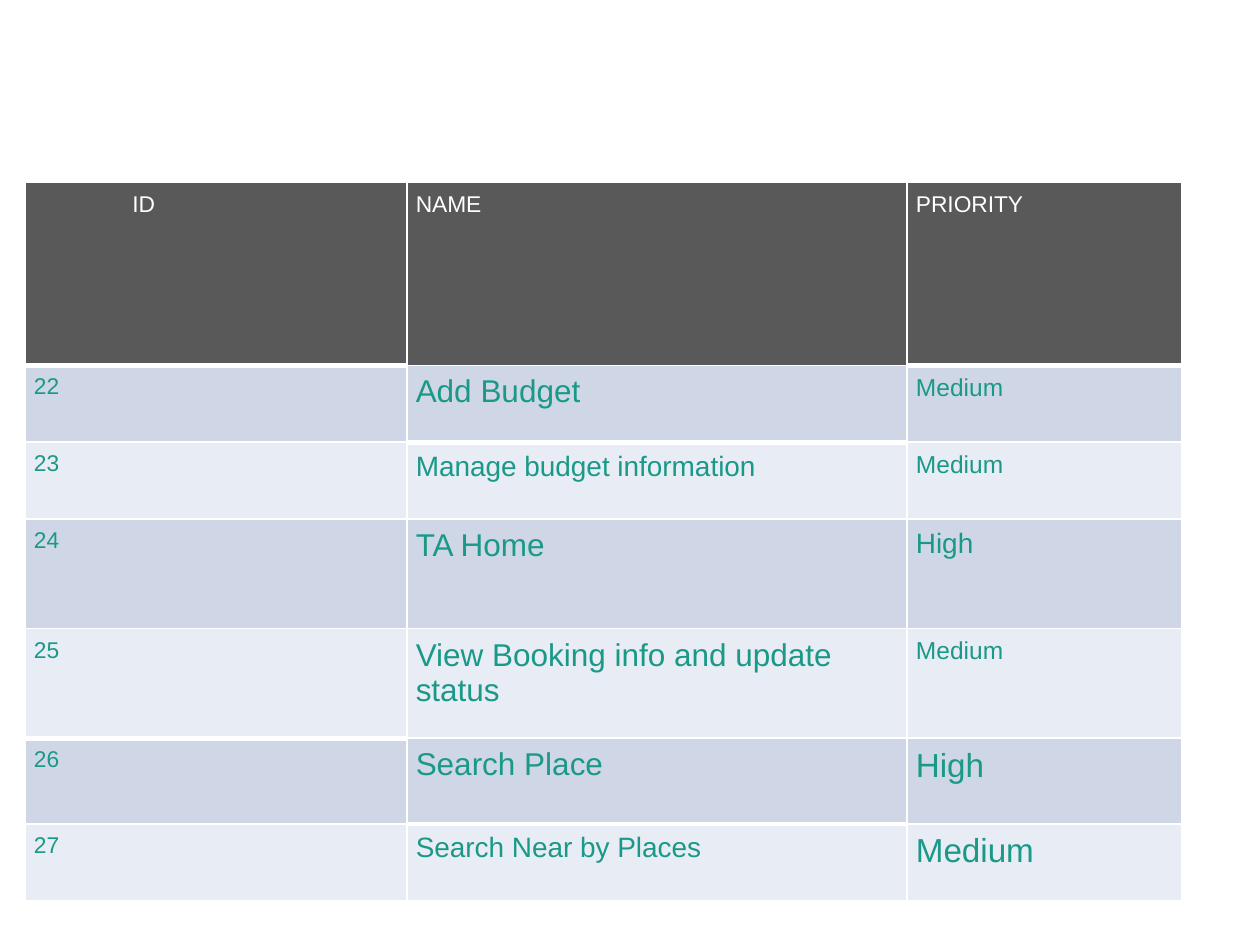
from dataclasses import dataclass

from lxml import etree
from pptx import Presentation
from pptx.dml.color import RGBColor
from pptx.enum import text
from pptx.oxml import ns
from pptx.util import Inches, Pt


@dataclass(frozen=True)
class Theme:
    font: str = "Arial"
    header_fill: str = "595959"
    header_text: str = "FFFFFF"
    body_text: str = "1A9988"
    bands: tuple = ("CFD7E7", "E8ECF4")
    border: str = "FFFFFF"
    thin: float = 1
    thick: float = 3
    small: float = 13
    margin: float = 0.07


@dataclass(frozen=True)
class Feature:
    id: str
    name: str
    priority: str
    name_size: float
    priority_size: float
    height: float


THEME = Theme()
HEADINGS = ("ID", "NAME", "PRIORITY")
HEADER_HEIGHT = 1.45
COLUMN_WIDTHS = (3.03, 3.97, 2.18)
ID_RIGHT_MARGIN = 1.22
FEATURES = [
    Feature("22", "Add Budget", "Medium", 18, 14, 0.61),
    Feature("23", "Manage budget information", "Medium", 16, 14, 0.61),
    Feature("24", "TA Home", "High", 18, 16, 0.87),
    Feature("25", "View Booking info and update status", "Medium", 18, 14, 0.87),
    Feature("26", "Search Place", "High", 18, 19, 0.68),
    Feature("27", "Search Near by Places", "Medium", 16, 19, 0.61),
]
# (row, column) of the cells with a thick rule below them
THICK_BELOW = {(0, 0), (0, 2), (1, 1), (4, 0), (5, 1)}


def set_borders(cell, row: int, col: int) -> None:
    """Draw all four cell borders, thick where THICK_BELOW asks for it."""
    thick_sides = {"T": (row - 1, col) in THICK_BELOW, "B": (row, col) in THICK_BELOW}
    tc_pr = cell._tc.get_or_add_tcPr()
    for i, side in enumerate("LRTB"):
        width = THEME.thick if thick_sides.get(side) else THEME.thin
        ln = etree.Element(ns.qn(f"a:ln{side}"), w=str(Pt(width)))
        fill = etree.SubElement(ln, ns.qn("a:solidFill"))
        etree.SubElement(fill, ns.qn("a:srgbClr"), val=THEME.border)
        tc_pr.insert(i, ln)


def fill_cell(table, row: int, col: int, content: str, size: float,
              fill: str, color: str) -> None:
    cell = table.cell(row, col)
    cell.margin_left = cell.margin_right = Inches(THEME.margin)
    cell.margin_top = cell.margin_bottom = Inches(THEME.margin)
    cell.fill.solid()
    cell.fill.fore_color.rgb = RGBColor.from_string(fill)
    set_borders(cell, row, col)
    cell.text_frame.text = content
    font = cell.text_frame.paragraphs[0].runs[0].font
    font.name, font.size, font.bold = THEME.font, Pt(size), False
    font.color.rgb = RGBColor.from_string(color)


def add_feature_table(s) -> None:
    heights = [HEADER_HEIGHT] + [f.height for f in FEATURES]
    table = s.shapes.add_table(
        len(heights), len(COLUMN_WIDTHS), Inches(0.2), Inches(1.45),
        Inches(sum(COLUMN_WIDTHS)), Inches(sum(heights))).table
    table.first_row = table.horz_banding = False
    for column, width in zip(table.columns, COLUMN_WIDTHS):
        column.width = Inches(width)
    for table_row, height in zip(table.rows, heights):
        table_row.height = Inches(height)

    for col, heading in enumerate(HEADINGS):
        fill_cell(table, 0, col, heading, THEME.small,
                  THEME.header_fill, THEME.header_text)
    id_cell = table.cell(0, 0)
    id_cell.margin_right = Inches(ID_RIGHT_MARGIN)
    id_cell.text_frame.paragraphs[0].alignment = text.PP_ALIGN.CENTER

    for row, f in enumerate(FEATURES, start=1):
        band = THEME.bands[(row - 1) % len(THEME.bands)]
        entries = ((f.id, THEME.small), (f.name, f.name_size),
                   (f.priority, f.priority_size))
        for col, (content, size) in enumerate(entries):
            fill_cell(table, row, col, content, size, band, THEME.body_text)


def main() -> None:
    prs = Presentation()
    prs.slide_width, prs.slide_height = Inches(10), Inches(7.5)
    s = prs.slides.add_slide(prs.slide_layouts[6])
    add_feature_table(s)
    prs.save("out.pptx")


if __name__ == "__main__":
    main()
